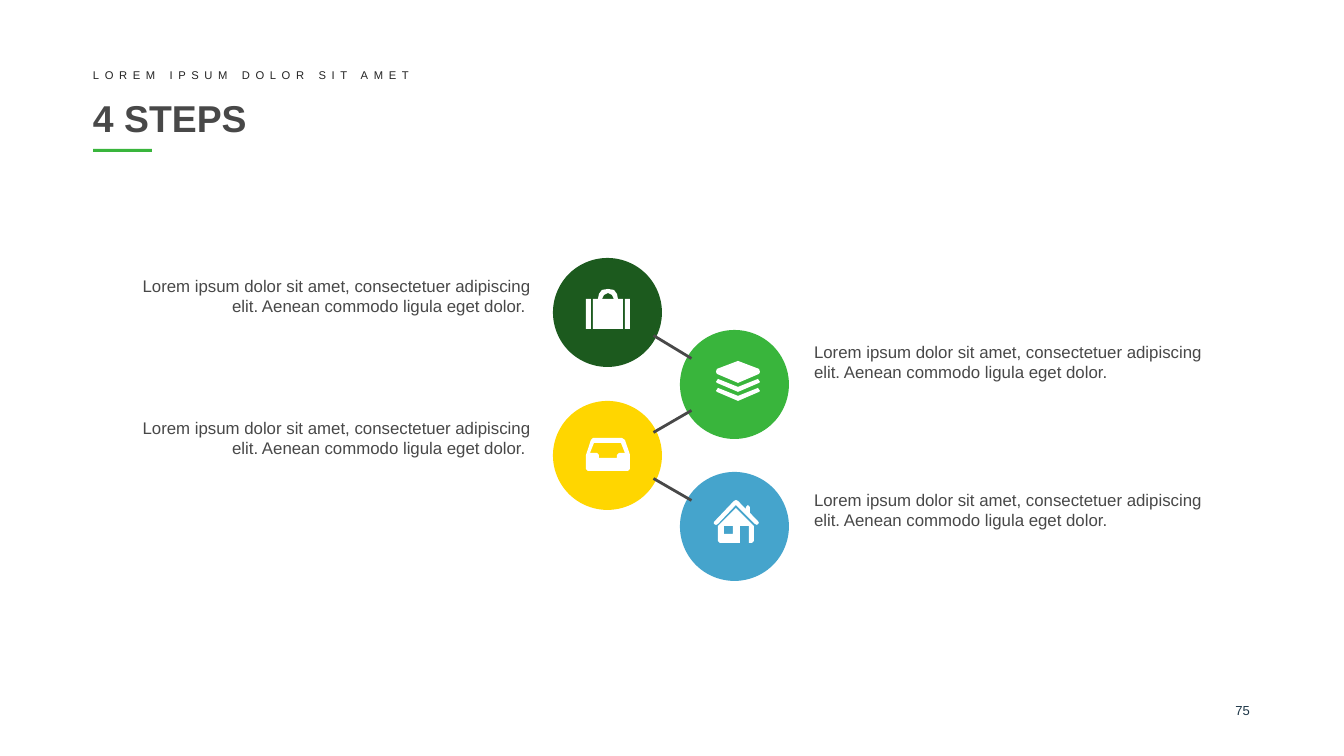
"""Build the "4 STEPS" slide: four linked icon circles with a caption beside each."""
from dataclasses import dataclass
from itertools import pairwise

from lxml.etree import SubElement
from pptx import Presentation
from pptx.dml.color import RGBColor
from pptx.enum.shapes import MSO_CONNECTOR, MSO_SHAPE
from pptx.enum.text import MSO_ANCHOR, MSO_AUTO_SIZE, PP_ALIGN
from pptx.oxml.ns import qn
from pptx.util import Emu, Pt

PX = 914400 / 134.4
COLORS = {
    "forest": "1C5A1E", "green": "39B53C", "yellow": "FFD600", "blue": "45A4CC",
    "white": "FFFFFF", "grey": "484848", "ink": "242424", "navy": "1D3647",
}
CAPTION = "Lorem ipsum dolor sit amet, consectetuer adipiscing elit. Aenean commodo ligula eget dolor."
DIAMETER = 109
FIRST_TOP, STEP_DROP = 258, 71.5
LEFT_COLUMN, RIGHT_COLUMN = 553, 680

Contour = list[tuple[int, int]]


@dataclass(frozen=True)
class Step:
    color: str
    on_left: bool
    caption_top: int
    icon: list[Contour]


@dataclass(frozen=True)
class Label:
    text: str
    box: tuple[int, int, int, int]
    size: int
    color: str
    align: PP_ALIGN = PP_ALIGN.LEFT
    anchor: MSO_ANCHOR = MSO_ANCHOR.TOP
    inset: tuple[int, int] = (0, 0)
    bold: bool = False
    spacing: int = 0
    grow: bool = False


def px(length: float) -> Emu:
    return Emu(round(length * PX))


def rgb(color: str) -> RGBColor:
    return RGBColor.from_string(COLORS[color])


def box_contour(left: int, top: int, right: int, bottom: int) -> Contour:
    return [(left, top), (right, top), (right, bottom), (left, bottom)]


def layer_contour(drop: int) -> Contour:
    return [(x, y + drop) for x, y in [(38, 49), (58, 57), (78, 49), (80, 52),
                                       (79, 53), (58, 62), (37, 53), (36, 52)]]


SUITCASE = [
    box_contour(33, 41, 38, 71),
    [(40, 41), (45, 41), (46, 36), (49, 32), (55, 31), (61, 32), (64, 36), (65, 41),
     (70, 41), (70, 71), (40, 71)],
    [(49, 41), (51, 37), (55, 35), (59, 37), (61, 41)],
    box_contour(72, 41, 77, 71),
]
LAYERS = [
    [(58, 31), (79, 39), (80, 42), (79, 44), (58, 53), (37, 44), (36, 42), (37, 39)],
    layer_contour(0),
    layer_contour(9),
]
INBOX = [
    [(33, 54), (38, 39), (40, 37), (69, 37), (72, 39), (77, 54), (77, 68), (75, 70),
     (35, 70), (33, 68)],
    [(68, 42), (41, 42), (37, 52), (44, 52), (46, 54), (46, 57), (64, 57), (64, 54),
     (66, 52), (72, 52)],
]
HOUSE = [
    [(34, 50), (54, 29), (56, 28), (58, 29), (66, 37), (66, 35), (68, 33), (70, 35),
     (70, 41), (78, 49), (79, 51), (77, 53), (75, 52), (56, 33), (38, 52), (36, 53), (34, 52)],
    [(56, 36), (74, 54), (74, 69), (72, 71), (69, 71), (69, 54), (60, 54), (60, 71),
     (40, 71), (38, 69), (38, 54)],
    box_contour(44, 54, 53, 62),
]

STEPS = [
    Step("forest", True, 271, SUITCASE),
    Step("green", False, 337, LAYERS),
    Step("yellow", True, 413, INBOX),
    Step("blue", False, 485, HOUSE),
]
HEADINGS = [
    Label("4 STEPS", (93, 93, 1159, 50), 20, "grey", anchor=MSO_ANCHOR.MIDDLE, bold=True),
    Label("LOREM IPSUM DOLOR SIT AMET", (93, 69, 964, 13), 6, "ink",
          anchor=MSO_ANCHOR.MIDDLE, spacing=3, grow=True),
    Label("75", (1192, 702, 58, 21), 7, "navy", PP_ALIGN.RIGHT),
]


def corner(index: int) -> tuple[int, int]:
    left = LEFT_COLUMN if STEPS[index].on_left else RIGHT_COLUMN
    return left, FIRST_TOP + round(STEP_DROP * index)


def fill_plain(part, color: str) -> None:
    part.shadow.inherit = False
    part.fill.solid()
    part.fill.fore_color.rgb = rgb(color)
    part.line.fill.background()


def draw_preset(shapes, preset: MSO_SHAPE, box: tuple[int, int, int, int], color: str) -> None:
    fill_plain(shapes.add_shape(preset, *map(px, box)), color)


def draw_icon(shapes, contours: list[Contour], origin: tuple[int, int]) -> None:
    placed = [[(x + origin[0], y + origin[1]) for x, y in contour] for contour in contours]
    builder = shapes.build_freeform(*placed[0][0], scale=PX)
    for index, contour in enumerate(placed):
        if index:
            builder.move_to(*contour[0])
        builder.add_line_segments(contour[1:], close=True)
    fill_plain(builder.convert_to_shape(), "white")


def draw_link(shapes, upper: int, lower: int) -> None:
    ends = []
    for index, toward in ((upper, 1), (lower, -1)):
        left, top = corner(index)
        across, down = (46, 23) if STEPS[index].on_left else (-43, 26)
        ends += [left + DIAMETER / 2 + across, top + DIAMETER / 2 + toward * down]
    link = shapes.add_connector(MSO_CONNECTOR.STRAIGHT, *map(px, ends))
    link.line.color.rgb = rgb("grey")
    link.line.width = Pt(1.5)
    SubElement(link._element.spPr, qn("a:effectLst"))


def draw_label(shapes, label: Label) -> None:
    frame = shapes.add_textbox(*map(px, label.box)).text_frame
    frame.word_wrap = True
    frame.auto_size = MSO_AUTO_SIZE.SHAPE_TO_FIT_TEXT if label.grow else MSO_AUTO_SIZE.NONE
    frame.vertical_anchor = label.anchor
    frame.margin_left = frame.margin_right = px(label.inset[0])
    frame.margin_top = frame.margin_bottom = px(label.inset[1])
    paragraph = frame.paragraphs[0]
    paragraph.alignment = label.align
    run = paragraph.add_run()
    run.text = label.text
    run.font.name = "Arial"
    run.font.size = Pt(label.size)
    run.font.bold = label.bold
    run.font.color.rgb = rgb(label.color)
    if label.spacing:
        run._r.get_or_add_rPr().set("spc", str(label.spacing * 100))


def draw_caption(shapes, step: Step) -> None:
    left, align, text = ((130, PP_ALIGN.RIGHT, CAPTION + " ") if step.on_left
                         else (804, PP_ALIGN.LEFT, CAPTION))
    draw_label(shapes, Label(text, (left, step.caption_top, 410, 51), 9, "grey", align,
                             inset=(10, 5), grow=True))


def main() -> None:
    deck = Presentation()
    deck.slide_width, deck.slide_height = px(1344), px(756)
    shapes = deck.slides.add_slide(deck.slide_layouts[6]).shapes
    draw_preset(shapes, MSO_SHAPE.RECTANGLE, (93, 149, 59, 3), "green")
    for index, step in enumerate(STEPS):
        draw_preset(shapes, MSO_SHAPE.OVAL, (*corner(index), DIAMETER, DIAMETER), step.color)
    for upper, lower in pairwise(range(len(STEPS))):
        draw_link(shapes, upper, lower)
    for index, step in enumerate(STEPS):
        draw_caption(shapes, step)
        draw_icon(shapes, step.icon, corner(index))
    for heading in HEADINGS:
        draw_label(shapes, heading)
    deck.save("out.pptx")


if __name__ == "__main__":
    main()
